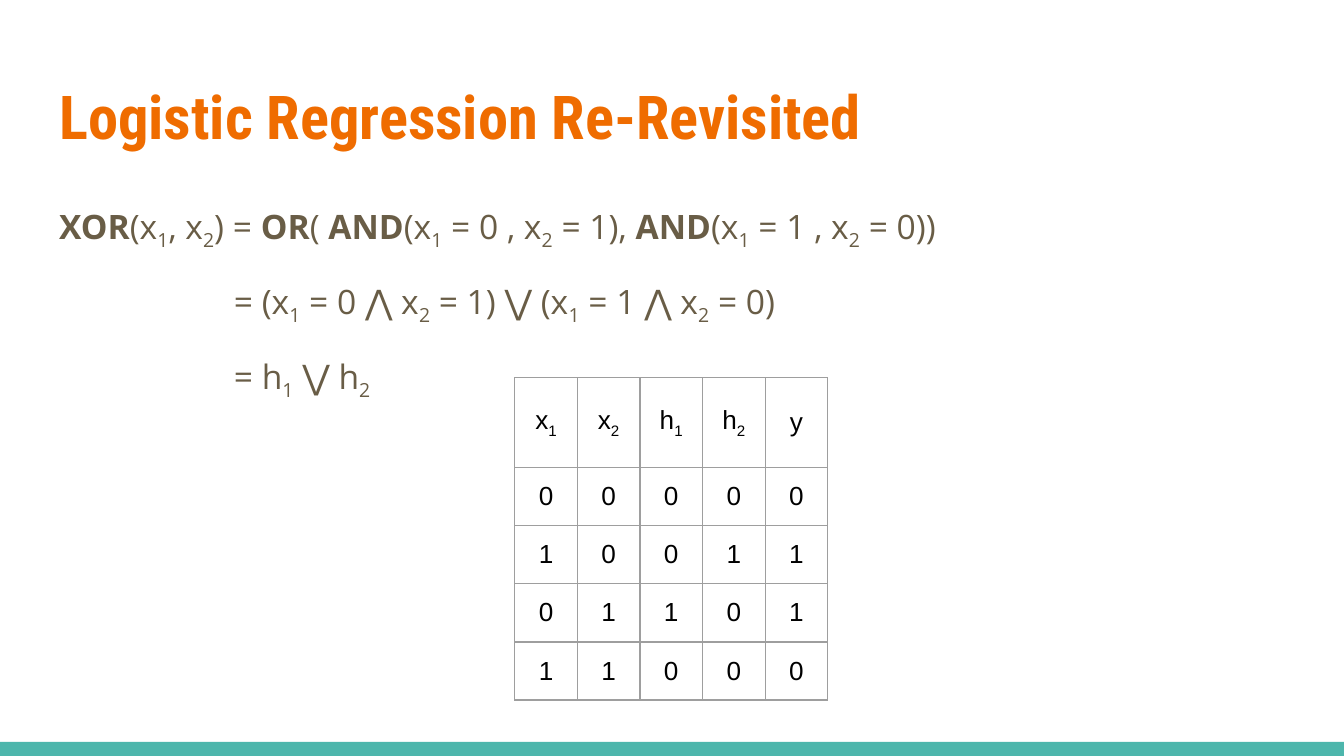
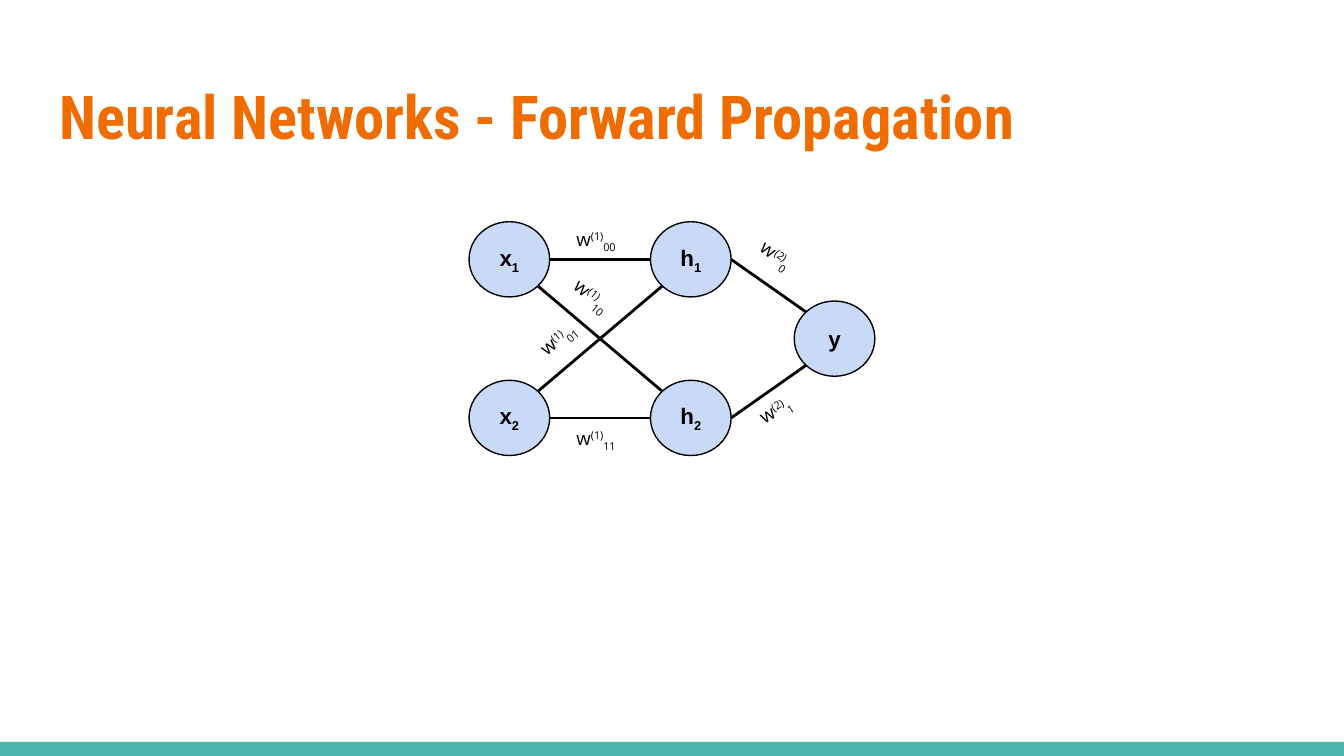
from dataclasses import dataclass
from math import cos, radians, sin

from lxml import etree
from pptx import Presentation
from pptx.dml.color import RGBColor
from pptx.enum import shapes, text
from pptx.oxml import ns
from pptx.util import Inches, Pt

TEAL, ORANGE, BROWN = "4DB6AC", "EF6C00", "695D46"
BLACK, GREY, PALE_BLUE, WHITE = "000000", "9E9E9E", "C9DAF8", "FFFFFF"
TITLE_FONT, BODY_FONT, LABEL_FONT = "Roboto Condensed", "Open Sans", "Arial"
TITLE_AND_BODY, TITLE_ONLY = 1, 5
SLIDE_WIDTH = 10
SLIDE_HEIGHT = SLIDE_WIDTH * 9 / 16
BASELINES = {"_": -25000, "^": 30000}
NODE_WIDTH, NODE_HEIGHT = 0.6, 0.56
LABEL_WIDTH, LABEL_HEIGHT = 0.55, 0.37


@dataclass(frozen=True)
class TextStyle:
    font: str
    size: float
    colour: str
    bold: bool = False
    align: text.PP_ALIGN = text.PP_ALIGN.LEFT


@dataclass(frozen=True)
class Node:
    markup: str
    left: float
    top: float

    def rim(self, angle: float) -> tuple[float, float]:
        """Point on the outline, with degrees counted clockwise from the right."""
        return (self.left + NODE_WIDTH / 2 * (1 + cos(radians(angle))),
                self.top + NODE_HEIGHT / 2 * (1 + sin(radians(angle))))


@dataclass(frozen=True)
class Edge:
    start: str
    start_angle: float
    end: str
    end_angle: float


@dataclass(frozen=True)
class WeightLabel:
    layer: int
    index: str
    left: float
    top: float
    rotation: float = 0


TITLE_STYLE = TextStyle(TITLE_FONT, 32.4, ORANGE, bold=True)
FORMULA_STYLE = TextStyle(BODY_FONT, 18, BROWN)
CELL_STYLE = TextStyle(LABEL_FONT, 14, BLACK, align=text.PP_ALIGN.CENTER)
NODE_STYLE = TextStyle(LABEL_FONT, 12, BLACK, True, text.PP_ALIGN.CENTER)
WEIGHT_STYLE = TextStyle(BODY_FONT, 10, BLACK)

# Runs are parted by "|"; "*" starts a bold run, "_" a subscript, "^" a superscript.
FORMULAS = [
    "*XOR|(x|_1|, x|_2|) = |*OR|( |*AND|(x|_1| = 0 , x|_2| = 1), "
    "|*AND|(x|_1| = 1 , x|_2| = 0))",
    "= (x|_1| = 0 ⋀ x|_2| = 1) ⋁ (x|_1| = 1 ⋀ x|_2| = 0)",
    "= h|_1| ⋁ h|_2",
]
FORMULA_INDENT = 1.3
TRUTH_TABLE = [
    ["x|_1", "x|_2", "h|_1", "h|_2", "y"],
    *(list(row) for row in ("00000", "10011", "01101", "11000")),
]
TABLE_WIDTH, HEADER_HEIGHT, VALUES_HEIGHT = 2.33, 0.67, 1.73
NODES = {
    "x1": Node("x|_1", 3.49, 1.65),
    "x2": Node("x|_2", 3.49, 2.83),
    "h1": Node("h|_1", 4.84, 1.65),
    "h2": Node("h|_2", 4.84, 2.83),
    "y": Node("y", 5.91, 2.24),
}
EDGES = [
    Edge("x1", 0, "h1", 180),
    Edge("x2", -45, "h1", 135),
    Edge("x1", 45, "h2", -135),
    Edge("x2", 0, "h2", 180),
    Edge("h1", 0, "y", -135),
    Edge("h2", 0, "y", 135),
]
WEIGHTS = [
    WeightLabel(1, "00", 4.19, 1.6),
    WeightLabel(1, "11", 4.19, 3.08),
    WeightLabel(1, "01", 3.9, 2.32, 320.7),
    WeightLabel(1, "10", 4.15, 2.04, 39.6),
    WeightLabel(2, "0", 5.54, 1.75, 37.3),
    WeightLabel(2, "1", 5.54, 2.84, 328.6),
]


def rgb(colour: str) -> RGBColor:
    return RGBColor.from_string(colour)


def set_all(target, **values) -> None:
    for name, value in values.items():
        setattr(target, name, value)


def place(shape, left: float, top: float, width: float, height: float) -> None:
    set_all(shape, left=Inches(left), top=Inches(top),
            width=Inches(width), height=Inches(height))


def set_frame(frame, anchor=text.MSO_ANCHOR.TOP, auto_size=text.MSO_AUTO_SIZE.NONE) -> None:
    margins = {f"margin_{side}": Inches(0.1) for side in ("left", "right", "top", "bottom")}
    set_all(frame, word_wrap=True, auto_size=auto_size, vertical_anchor=anchor, **margins)


def write(paragraph, markup: str, style: TextStyle) -> None:
    """Fill a paragraph with the runs of a marked-up line."""
    paragraph.alignment = style.align
    for part in markup.split("|"):
        mark = part[0] if part[0] in "*_^" else ""
        run = paragraph.add_run()
        run.text = part[len(mark):]
        set_all(run.font, name=style.font, size=Pt(style.size),
                bold=style.bold or mark == "*")
        run.font.color.rgb = rgb(style.colour)
        if mark in BASELINES:
            run._r.get_or_add_rPr().set("baseline", str(BASELINES[mark]))


def add_titled_slide(presentation, layout: int, title: str):
    slide = presentation.slides.add_slide(presentation.slide_layouts[layout])
    shape = slide.shapes.title
    place(shape, 0.34, 0.49, 9.32, 0.77)
    set_frame(shape.text_frame)
    write(shape.text_frame.paragraphs[0], title, TITLE_STYLE)
    return slide


def move_band_to_master(presentation, slide) -> None:
    """Draw the bottom band on a slide, then hand it to the master for all slides."""
    band = slide.shapes.add_shape(shapes.MSO_SHAPE.RECTANGLE, Inches(0), Inches(5.52),
                                  Inches(SLIDE_WIDTH), Inches(SLIDE_HEIGHT - 5.52))
    band.shadow.inherit = False
    band.fill.solid()
    band.fill.fore_color.rgb = rgb(TEAL)
    band.line.fill.background()
    presentation.slide_master.shapes.element.append(band.element)


def add_formulas(slide) -> None:
    body = slide.placeholders[1]
    place(body, 0.34, 1.38, 9.32, 1.83)
    frame = body.text_frame
    set_frame(frame)
    for number, formula in enumerate(FORMULAS):
        paragraph = frame.add_paragraph() if number else frame.paragraphs[0]
        properties = paragraph._p.get_or_add_pPr()
        properties.set("marL", str(Inches(FORMULA_INDENT if number else 0)))
        properties.set("indent", "0")
        etree.SubElement(properties, ns.qn("a:buNone"))
        set_all(paragraph, line_spacing=1.15, space_before=Pt(12 if number else 0))
        write(paragraph, formula, FORMULA_STYLE)


def add_borders(cell) -> None:
    properties = cell._tc.get_or_add_tcPr()
    for side in "LRTB":
        line = etree.SubElement(properties, ns.qn(f"a:ln{side}"), w=str(Pt(0.75)))
        fill = etree.SubElement(line, ns.qn("a:solidFill"))
        etree.SubElement(fill, ns.qn("a:srgbClr"), val=GREY)


def add_truth_table(slide) -> None:
    rows, columns = len(TRUTH_TABLE), len(TRUTH_TABLE[0])
    heights = [HEADER_HEIGHT] + [VALUES_HEIGHT / (rows - 1)] * (rows - 1)
    table = slide.shapes.add_table(
        rows, columns, Inches(3.83), Inches(2.81),
        Inches(TABLE_WIDTH), Inches(sum(heights))).table
    set_all(table, first_row=False, horz_banding=False)
    for column in table.columns:
        column.width = Inches(TABLE_WIDTH / columns)
    for row, height, values in zip(table.rows, heights, TRUTH_TABLE):
        row.height = Inches(height)
        for cell, value in zip(row.cells, values):
            add_borders(cell)
            cell.fill.background()
            set_all(cell, vertical_anchor=text.MSO_ANCHOR.MIDDLE,
                    margin_left=Inches(0.1), margin_right=Inches(0.1),
                    margin_top=Inches(0.1), margin_bottom=Inches(0.1))
            write(cell.text_frame.paragraphs[0], value, CELL_STYLE)


def add_node(slide, node: Node) -> None:
    shape = slide.shapes.add_shape(shapes.MSO_SHAPE.OVAL, Inches(node.left), Inches(node.top),
                                   Inches(NODE_WIDTH), Inches(NODE_HEIGHT))
    shape.shadow.inherit = False
    shape.fill.solid()
    shape.fill.fore_color.rgb = rgb(PALE_BLUE)
    shape.line.color.rgb = rgb(BLACK)
    shape.line.width = Pt(0.75)
    set_frame(shape.text_frame, text.MSO_ANCHOR.MIDDLE)
    write(shape.text_frame.paragraphs[0], node.markup, NODE_STYLE)


def add_edge(slide, edge: Edge) -> None:
    ends = (*NODES[edge.start].rim(edge.start_angle), *NODES[edge.end].rim(edge.end_angle))
    connector = slide.shapes.add_connector(shapes.MSO_CONNECTOR.STRAIGHT, *map(Inches, ends))
    connector.line.color.rgb = rgb(BLACK)
    connector.line.width = Pt(1.5)
    etree.SubElement(connector.element.spPr, ns.qn("a:effectLst"))


def add_weight(slide, label: WeightLabel) -> None:
    box = slide.shapes.add_textbox(Inches(label.left), Inches(label.top),
                                   Inches(LABEL_WIDTH), Inches(LABEL_HEIGHT))
    box.rotation = label.rotation
    set_frame(box.text_frame, auto_size=text.MSO_AUTO_SIZE.SHAPE_TO_FIT_TEXT)
    write(box.text_frame.paragraphs[0], f"w|^({label.layer})|_{label.index}", WEIGHT_STYLE)


def main() -> None:
    presentation = Presentation()
    set_all(presentation, slide_width=Inches(SLIDE_WIDTH), slide_height=Inches(SLIDE_HEIGHT))
    background = presentation.slide_master.background.fill
    background.solid()
    background.fore_color.rgb = rgb(WHITE)

    logic_slide = add_titled_slide(presentation, TITLE_AND_BODY,
                                   "Logistic Regression Re-Revisited")
    move_band_to_master(presentation, logic_slide)
    add_formulas(logic_slide)
    add_truth_table(logic_slide)

    network_slide = add_titled_slide(presentation, TITLE_ONLY,
                                     "Neural Networks - Forward Propagation")
    for node in NODES.values():
        add_node(network_slide, node)
    for edge in EDGES:
        add_edge(network_slide, edge)
    for label in WEIGHTS:
        add_weight(network_slide, label)
    presentation.save("out.pptx")


if __name__ == "__main__":
    main()
